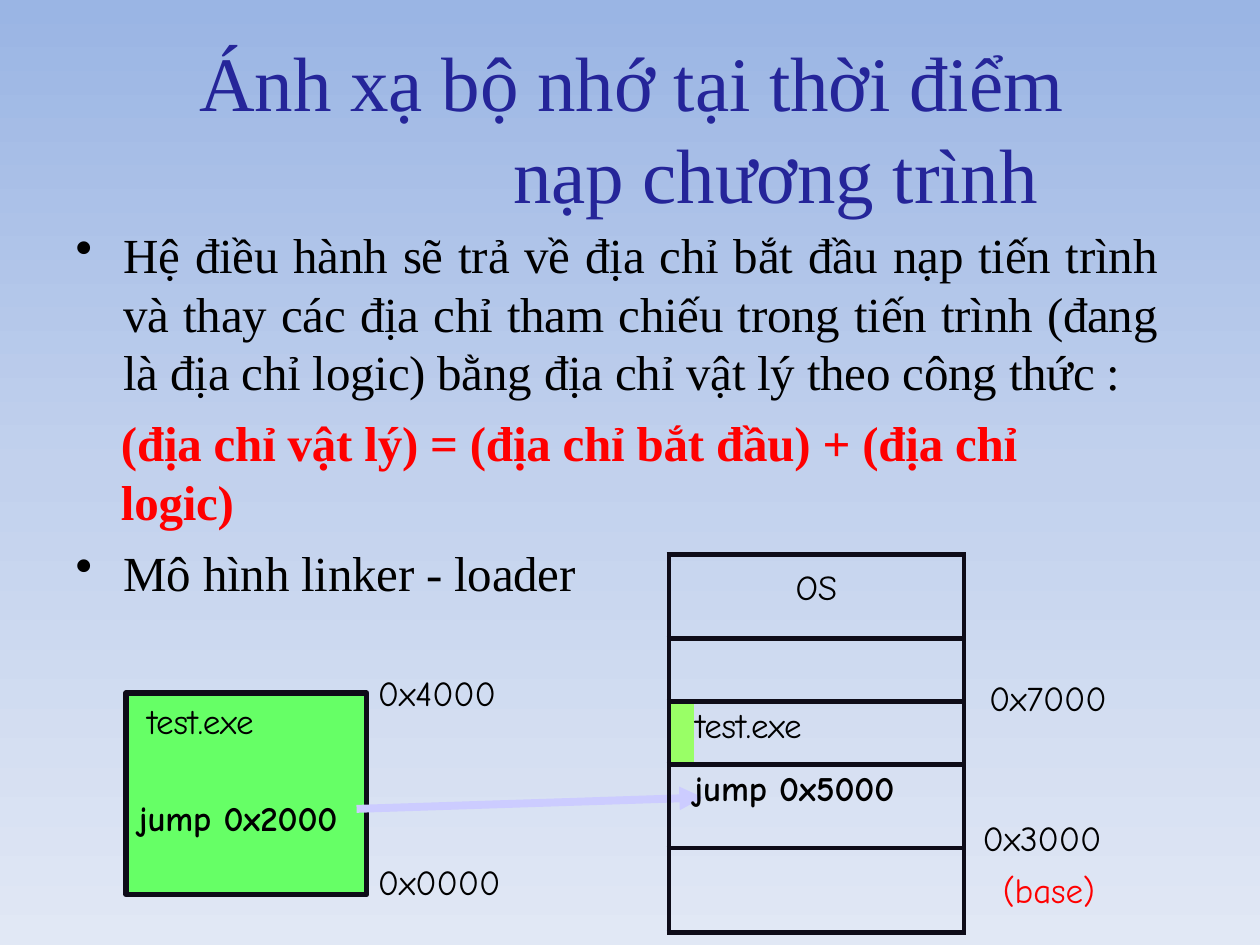
from copy import deepcopy
from dataclasses import dataclass

from pptx import Presentation, util as u
from pptx.dml.color import RGBColor
from pptx.enum import shapes, text
from pptx.oxml import parse_xml
from pptx.oxml.ns import nsdecls

IN = u.Inches
CENTER, JUSTIFY = text.PP_ALIGN.CENTER, text.PP_ALIGN.JUSTIFY


@dataclass(frozen=True)
class Theme:
    """Colours, fonts and sizes of the slide."""
    sky: tuple = ("9AB5E4", "C2D1ED", "E1E8F5")
    title: str = "252599"
    ink: str = "000000"
    alert: str = "FF0000"
    border: str = "0E0C18"
    program: str = "66FF66"
    loaded: str = "99FF66"
    arrow: str = "CCCCFF"
    serif: str = "Times New Roman"
    hand: str = "Comic Neue"
    title_pt: int = 44
    body_pt: int = 28
    label_pt: int = 20
    border_pt: int = 3
    arrow_pt: float = 4.5


T = Theme()


def rgb(value):
    """Turn a hex string into a colour."""
    return RGBColor.from_string(value)


def add_run(p, words, size=T.label_pt, font=T.hand, color=T.ink, bold=False):
    """Add one run of slightly tightened text."""
    r = p.add_run()
    r.text = words
    r.font.size, r.font.name, r.font.bold = u.Pt(size), font, bold
    r.font.color.rgb = rgb(color)
    r.font._element.set("spc", "-10")


def set_indent(p, left, first=0, right=0):
    """Set the paragraph's margins and first-line indent."""
    pPr = p._p.get_or_add_pPr()
    for name, value in (("marL", left), ("marR", right), ("indent", first)):
        pPr.set(name, str(IN(value)))


def set_bullet(p):
    """Give the paragraph a hanging round bullet."""
    set_indent(p, 0.39, -0.38)
    p._p.get_or_add_pPr().append(parse_xml(f'<a:buChar {nsdecls("a")} char="•"/>'))


def set_insets(tf, top=0.01):
    """Wrap the text and leave only a top inset."""
    tf.word_wrap = True
    tf.margin_left = tf.margin_right = tf.margin_bottom = 0
    tf.margin_top = IN(top)


def add_box(s, left, top, width, height, inset=0.01):
    """Add a wrapping text box and return its frame."""
    tf = s.shapes.add_textbox(IN(left), IN(top), IN(width), IN(height)).text_frame
    set_insets(tf, inset)
    return tf


def add_label(s, words, left, top):
    """Add a short one-line label."""
    add_run(add_box(s, left, top, 1.04, 0.36).paragraphs[0], words)


def paint_background(s):
    """Paint the vertical three-stop gradient."""
    fill = s.background.fill
    fill.gradient()
    fill.gradient_angle = 270
    stops = s.element.xpath(".//a:gsLst")[0]
    stops.insert(1, deepcopy(stops[0]))
    for i, (stop, color) in enumerate(zip(fill.gradient_stops, T.sky)):
        stop.position = i / 2
        stop.color.rgb = rgb(color)


def add_title(s):
    """Add the title with its hanging second line."""
    tf = add_box(s, 1.14, 0.32, 7.73, 1.36)
    tf.vertical_anchor = text.MSO_ANCHOR.MIDDLE
    p = tf.paragraphs[0]
    p.alignment = CENTER
    set_indent(p, 2.3, -2.29)
    add_run(p, "Ánh xạ bộ nhớ tại thời điểm nạp chương trình",
            T.title_pt, T.serif, T.title)


def add_body(s):
    """Add the two bullets with the formula between them."""
    tf = add_box(s, 0.59, 1.77, 8.6, 3.1)
    p = tf.paragraphs[0]
    p.alignment = JUSTIFY
    set_bullet(p)
    add_run(p, "Hệ điều hành sẽ trả về địa chỉ bắt đầu nạp tiến trình và thay "
            "các địa chỉ tham chiếu trong tiến trình (đang là địa chỉ logic) "
            "bằng địa chỉ vật lý theo công thức :", T.body_pt, T.serif)
    p = tf.add_paragraph()
    p.space_before = u.Pt(6.8)
    set_indent(p, 0.37, right=0.4)
    add_run(p, "(địa chỉ vật lý) = (địa chỉ bắt đầu) + (địa chỉ logic)",
            T.body_pt, T.serif, T.alert, True)
    p = tf.add_paragraph()
    p.space_before = u.Pt(6.8)
    set_bullet(p)
    add_run(p, "Mô hình linker - loader", T.body_pt, T.serif)


def add_program(s):
    """Add the program block with its jump instruction."""
    sp = s.shapes.add_shape(shapes.MSO_SHAPE.RECTANGLE, IN(1), IN(5.5), IN(1.91), IN(1.6))
    sp.shadow.inherit = False
    sp.fill.solid()
    sp.fill.fore_color.rgb = rgb(T.program)
    sp.line.color.rgb = rgb(T.border)
    sp.line.width = u.Pt(T.border_pt)
    tf = sp.text_frame
    set_insets(tf, 0.82)
    tf.vertical_anchor = text.MSO_ANCHOR.TOP
    p = tf.paragraphs[0]
    p.alignment = text.PP_ALIGN.LEFT
    set_indent(p, 0.1)
    add_run(p, "jump 0x2000", bold=True)


def add_arrow(s):
    """Add the arrow from the program to memory."""
    cx = s.shapes.add_connector(shapes.MSO_CONNECTOR.STRAIGHT,
                                IN(2.83), IN(6.42), IN(5.58), IN(6.33))
    cx.line.color.rgb = rgb(T.arrow)
    cx.line.width = u.Pt(T.arrow_pt)
    cx.line._get_or_add_ln().append(
        parse_xml(f'<a:tailEnd {nsdecls("a")} type="triangle" w="med" len="med"/>'))
    cx._element.spPr.append(parse_xml(f'<a:effectLst {nsdecls("a")}/>'))


def set_borders(cell, sides):
    """Draw the named sides of a cell and clear the others."""
    for side in "LRTB":
        paint = (f'<a:solidFill><a:srgbClr val="{T.border}"/></a:solidFill>'
                 if side in sides else "<a:noFill/>")
        cell._tc.get_or_add_tcPr().append(parse_xml(
            f'<a:ln{side} {nsdecls("a")} w="{u.Pt(T.border_pt)}">{paint}</a:ln{side}>'))


def add_memory(s):
    """Add the memory map, whose loaded row alone is split."""
    widths, heights, loaded = (0.2, 2.14), (0.67, 0.5, 0.5, 0.66, 0.67), 2
    tb = s.shapes.add_table(len(heights), len(widths), IN(5.31), IN(4.4),
                            IN(sum(widths)), IN(sum(heights))).table
    tb.first_row = tb.horz_banding = False
    for col, width in zip(tb.columns, widths):
        col.width = IN(width)
    for i, height in enumerate(heights):
        tb.rows[i].height = IN(height)
        for j, cell in enumerate(tb.rows[i].cells):
            cell.margin_left = cell.margin_right = 0
            cell.margin_top = cell.margin_bottom = 0
            set_borders(cell, ("LTB", "RTB")[j] if i == loaded else "LRTB")
            cell.fill.background()
        if i != loaded:
            tb.cell(i, 0).merge(tb.cell(i, 1))
    fill = tb.cell(loaded, 0).fill
    fill.solid()
    fill.fore_color.rgb = rgb(T.loaded)
    for row, col, words, top, left, bold in ((0, 0, "OS", 0.12, 0, False),
                                             (2, 1, "test.exe", 0.04, 0.01, False),
                                             (3, 0, "jump 0x5000", 0.04, 0.2, True)):
        cell = tb.cell(row, col)
        cell.margin_top = IN(top)
        p = cell.text_frame.paragraphs[0]
        set_indent(p, left)
        add_run(p, words, bold=bold)
    tb.cell(0, 0).text_frame.paragraphs[0].alignment = CENTER


def add_base(s):
    """Add the base address with its caption."""
    tf = add_box(s, 7.75, 6.36, 1.04, 0.86, 0.12)
    p = tf.paragraphs[0]
    p.alignment = CENTER
    add_run(p, "0x3000")
    p = tf.add_paragraph()
    p.alignment, p.space_before = CENTER, u.Pt(6)
    set_indent(p, 0.11)
    add_run(p, "(base)", color=T.alert)


def main():
    """Build and save the slide."""
    prs = Presentation()
    prs.slide_width, prs.slide_height = IN(10), IN(7.5)
    s = prs.slides.add_slide(prs.slide_layouts[6])
    paint_background(s)
    add_title(s)
    add_body(s)
    add_program(s)
    add_arrow(s)
    add_memory(s)
    for words, left, top in (("test.exe", 1.17, 5.54), ("0x4000", 3, 5.32),
                             ("0x0000", 3, 6.82), ("0x7000", 7.85, 5.36)):
        add_label(s, words, left, top)
    add_base(s)
    prs.save("out.pptx")


if __name__ == "__main__":
    main()
